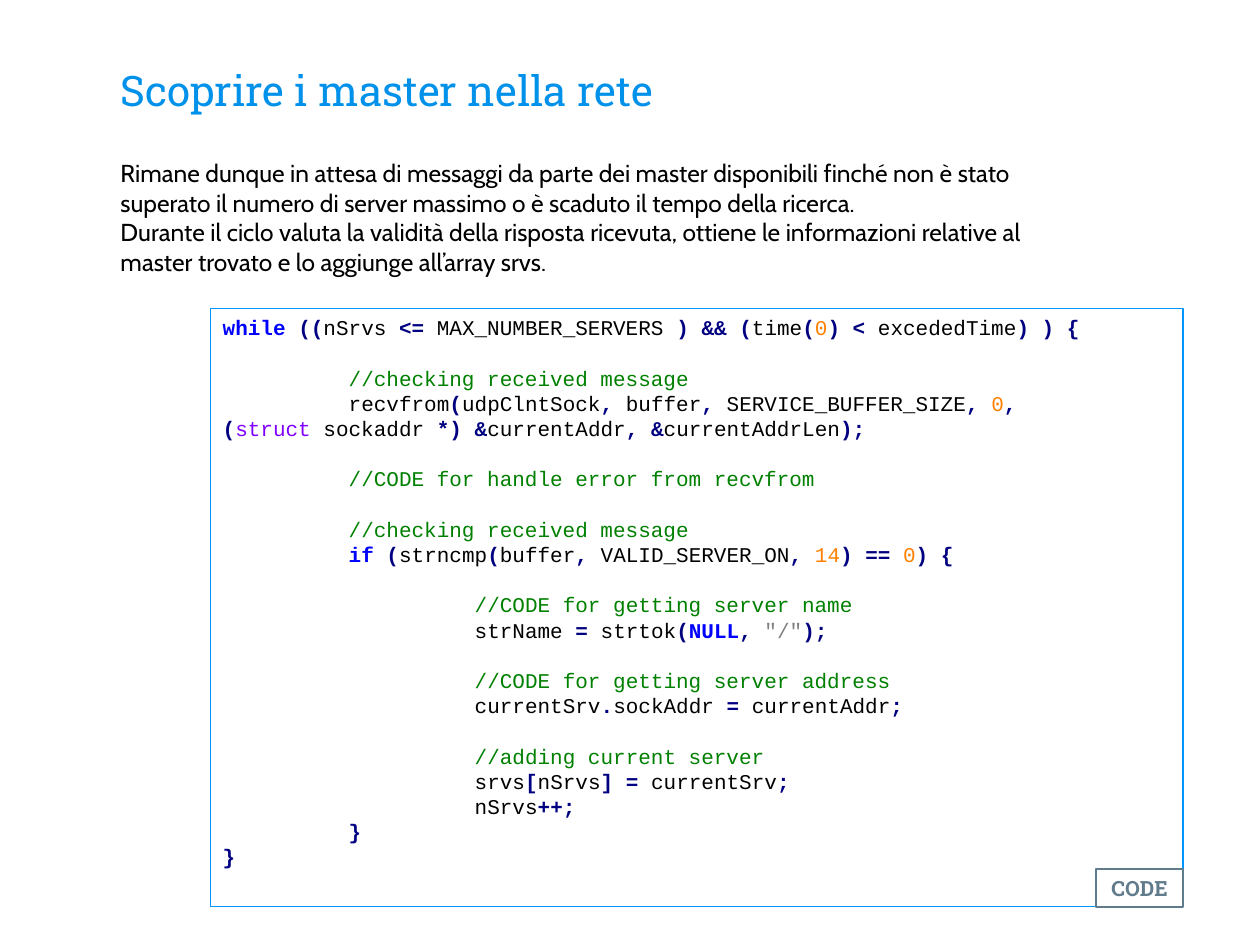
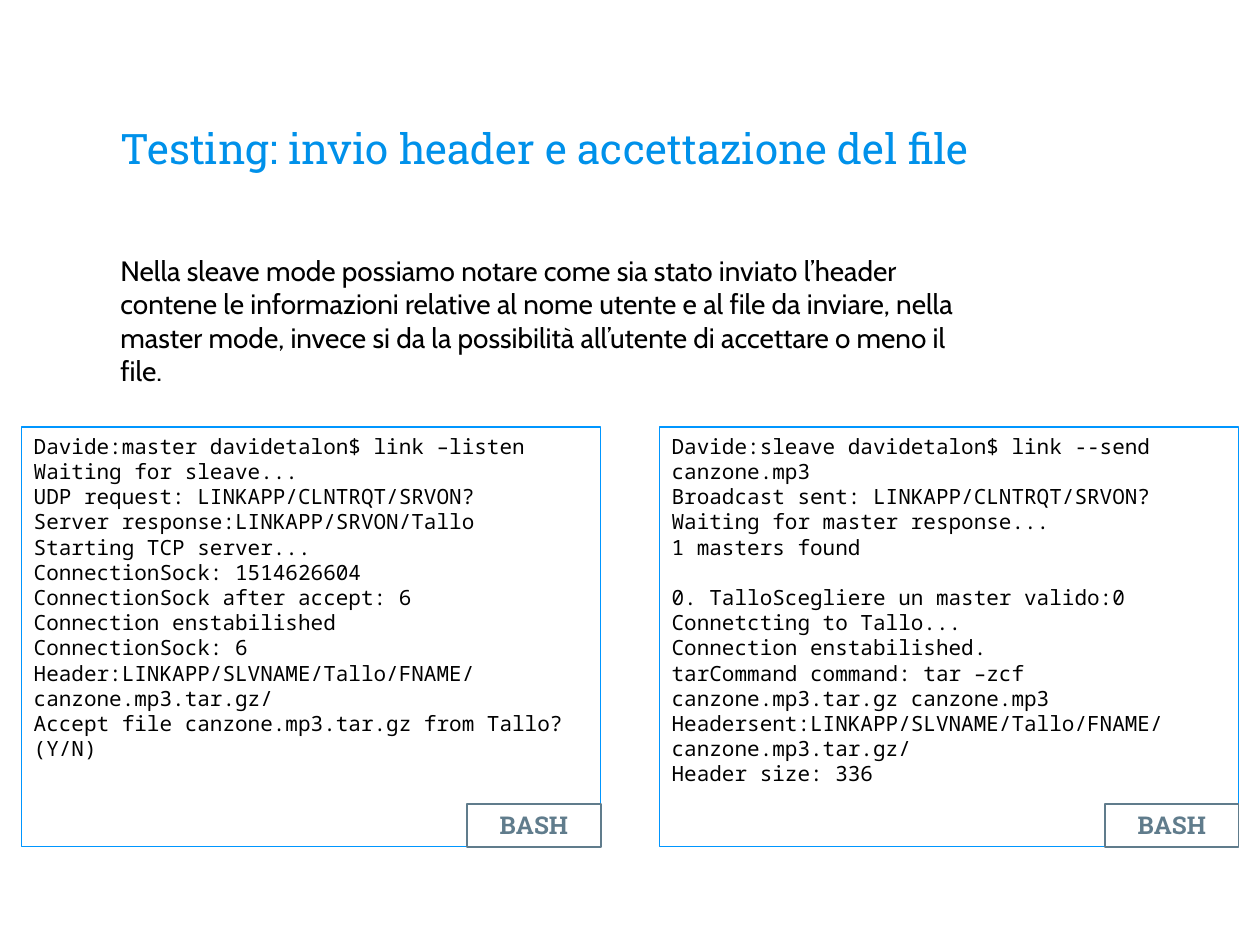
import itertools

import pptx
import pptx.dml.color
import pptx.enum.shapes
import pptx.enum.text
import pptx.util

Cm, Pt = pptx.util.Cm, pptx.util.Pt
ALIGN, ANCHOR = pptx.enum.text.PP_ALIGN, pptx.enum.text.MSO_ANCHOR

# Content: boxes are (left, top, width, height) in cm; "" marks a line gap
CODE = [
    "while ((nSrvs <= MAX_NUMBER_SERVERS ) && (time(0) < excededTime) ) {",
    "",
    "\t//checking received message",
    "\trecvfrom(udpClntSock, buffer, SERVICE_BUFFER_SIZE, 0,",
    "(struct sockaddr *) &currentAddr, &currentAddrLen);",
    "",
    "\t//CODE for handle error from recvfrom",
    "",
    "\t//checking received message",
    "\tif (strncmp(buffer, VALID_SERVER_ON, 14) == 0) {",
    "",
    "\t\t//CODE for getting server name",
    '\t\tstrName = strtok(NULL, "/");',
    "",
    "\t\t//CODE for getting server address",
    "\t\tcurrentSrv.sockAddr = currentAddr;",
    "",
    "\t\t//adding current server",
    "\t\tsrvs[nSrvs] = currentSrv;",
    "\t\tnSrvs++;",
    "\t}",
    "}",
]
MASTER_LOG = [
    "Davide:master davidetalon$ link –listen",
    "Waiting for sleave...",
    "UDP request: LINKAPP/CLNTRQT/SRVON?",
    "Server response:LINKAPP/SRVON/Tallo",
    "Starting TCP server...",
    "ConnectionSock: 1514626604",
    "ConnectionSock after accept: 6",
    "Connection enstabilished",
    "ConnectionSock: 6",
    "Header:LINKAPP/SLVNAME/Tallo/FNAME/canzone.mp3.tar.gz/",
    "Accept file canzone.mp3.tar.gz from Tallo? (Y/N)",
]
SLEAVE_LOG = [
    "Davide:sleave davidetalon$ link --send canzone.mp3",
    "Broadcast sent: LINKAPP/CLNTRQT/SRVON?",
    "Waiting for master response...",
    "1 masters found",
    "",
    "0. TalloScegliere un master valido:0",
    "Connetcting to Tallo...",
    "Connection enstabilished.",
    "tarCommand command: tar –zcf canzone.mp3.tar.gz canzone.mp3",
    "Headersent:LINKAPP/SLVNAME/Tallo/FNAME/canzone.mp3.tar.gz/",
    "Header size: 336",
]
SLIDE_W, SLIDE_H = 25.4, 19.05
LEFT = 2.18
LOG_W, LOG_MARGIN = 11.68, 0.43
LOG_LEFTS = (LOG_MARGIN, SLIDE_W - LOG_MARGIN - LOG_W)

SLIDES = [
    {
        "title": "Scoprire i master nella rete",
        "title_box": (LEFT, 1.19, 21.03, 1.37),
        "body": [
            "Rimane dunque in attesa di messaggi da parte dei master disponibili "
            "finché non è stato superato il numero di server massimo o è scaduto "
            "il tempo della ricerca.",
            "Durante il ciclo valuta la validità della risposta ricevuta, ottiene "
            "le informazioni relative al master trovato e lo aggiunge all’array srvs.",
        ],
        "body_box": (LEFT, 3.07, 18.92, 2.64),
        "body_style": "body_small",
        "panels": [((4.24, 6.22, 19.61, 12.06), CODE)],
        "panel_style": "code",
        "tag": ("CODE", 1.75, 0.76, "tag_small"),
    },
    {
        "title": "Testing: invio header e accettazione del file",
        "title_box": (LEFT, 1.14, 21.03, 2.59),
        "body": [
            "Nella sleave mode possiamo notare come sia stato inviato l’header "
            "contene le informazioni relative al nome utente e al file da inviare, "
            "nella master mode, invece si da la possibilità all’utente di accettare "
            "o meno il file.",
        ],
        "body_box": (LEFT, 4.98, 18.06, 3.0),
        "body_style": "body",
        "panels": [((left, 8.61, LOG_W, 8.46), log)
                   for left, log in zip(LOG_LEFTS, (MASTER_LOG, SLEAVE_LOG))],
        "panel_style": "log",
        "tag": ("BASH", 2.69, 0.86, "tag"),
    },
]


# Theme
class Theme:
    panel_line, tag_line = ("0096FF", 0.75), ("607C8C", 1)
    line_pitch = 14.4
    tab = 2.54
    # style: font, size, colour, bold
    text = {
        "title": ("Roboto Slab", 24, "0091EA", False),
        "body": ("Cabin", 16, "000000", False),
        "body_small": ("Cabin", 14, "000000", False),
        "code": ("Courier New", 12, "000000", False),
        "log": ("Noto Sans Mono", 12, "000000", False),
        "tag": ("Roboto Slab", 14, "607C8C", True),
        "tag_small": ("Roboto Slab", 12, "607C8C", True),
    }
    # token: colour, bold
    syntax = {
        "plain": ("000000", False),
        "keyword": ("0000FF", True),
        "type": ("8000FF", False),
        "number": ("FF8000", False),
        "string": ("808080", False),
        "comment": ("008000", False),
        "sign": ("000080", True),
    }
    words = {"while": "keyword", "if": "keyword", "NULL": "keyword", "struct": "type"}


def rgb(value):
    return pptx.dml.color.RGBColor.from_string(value)


def style_paragraph(p, style):
    name, size, color, bold = Theme.text[style]
    p.font.name, p.font.size, p.font.bold = name, Pt(size), bold
    p.font.color.rgb = rgb(color)


# Syntax colouring
def char_class(ch):
    if ch.isspace():
        return "plain"
    if ch.isalnum() or ch == "_":
        return "word"
    return "string" if ch in '"/' else "sign"


def tokens(line):
    if line.startswith("//"):
        return [(line, "comment")]
    found = []
    for kind, chars in itertools.groupby(line, char_class):
        token = "".join(chars)
        if kind == "word":
            kind = "number" if token.isdigit() else Theme.words.get(token, "plain")
        found.append((token, kind))
    return found


# Parts
def add_text(slide, box, lines, style):
    sp = slide.shapes.add_textbox(*map(Cm, box))
    tf = sp.text_frame
    tf.word_wrap = True
    for i, line in enumerate(lines):
        p = tf.add_paragraph() if i else tf.paragraphs[0]
        p.text = line
        style_paragraph(p, style)
    return tf


def add_title(slide, box, text):
    tf = add_text(slide, box, [text], "title")
    tf.vertical_anchor = ANCHOR.BOTTOM
    tf.margin_top = tf.margin_bottom = Cm(0.25)


def add_frame(slide, box, line):
    sp = slide.shapes.add_shape(pptx.enum.shapes.MSO_SHAPE.RECTANGLE, *map(Cm, box))
    sp.shadow.inherit = False
    sp.fill.background()
    color, width = line
    sp.line.color.rgb, sp.line.width = rgb(color), Pt(width)
    tf = sp.text_frame
    tf.word_wrap = True
    tf.vertical_anchor = ANCHOR.TOP
    return tf


def add_panel(slide, box, lines, style):
    tf = add_frame(slide, box, Theme.panel_line)
    p, gap = tf.paragraphs[0], 0
    for i, line in enumerate(lines):
        if not line:
            gap = Theme.line_pitch
            continue
        if i:
            p = tf.add_paragraph()
        p.alignment = ALIGN.LEFT
        p.line_spacing, p.space_before = Pt(Theme.line_pitch), Pt(gap)
        gap = 0
        style_paragraph(p, style)
        text = line.lstrip("\t")
        if style != "code":
            p.add_run().text = text
            continue
        depth = len(line) - len(text)
        p._p.get_or_add_pPr().set("indent", str(Cm(Theme.tab * depth)))
        for token, kind in tokens(text):
            r = p.add_run()
            r.text = token
            color, r.font.bold = Theme.syntax[kind]
            r.font.color.rgb = rgb(color)


def add_tag(slide, panel_box, label, width, height, style):
    # The tag sits in the panel's bottom right corner
    left, top, panel_w, panel_h = panel_box
    box = (left + panel_w - width, top + panel_h - height, width, height)
    p = add_frame(slide, box, Theme.tag_line).paragraphs[0]
    p.text = label
    p.alignment = ALIGN.CENTER
    style_paragraph(p, style)


def main():
    prs = pptx.Presentation()
    prs.slide_width, prs.slide_height = Cm(SLIDE_W), Cm(SLIDE_H)
    for content in SLIDES:
        slide = prs.slides.add_slide(prs.slide_layouts[6])
        add_title(slide, content["title_box"], content["title"])
        add_text(slide, content["body_box"], content["body"], content["body_style"])
        for box, lines in content["panels"]:
            add_panel(slide, box, lines, content["panel_style"])
            add_tag(slide, box, *content["tag"])
    prs.save("out.pptx")


if __name__ == "__main__":
    main()
